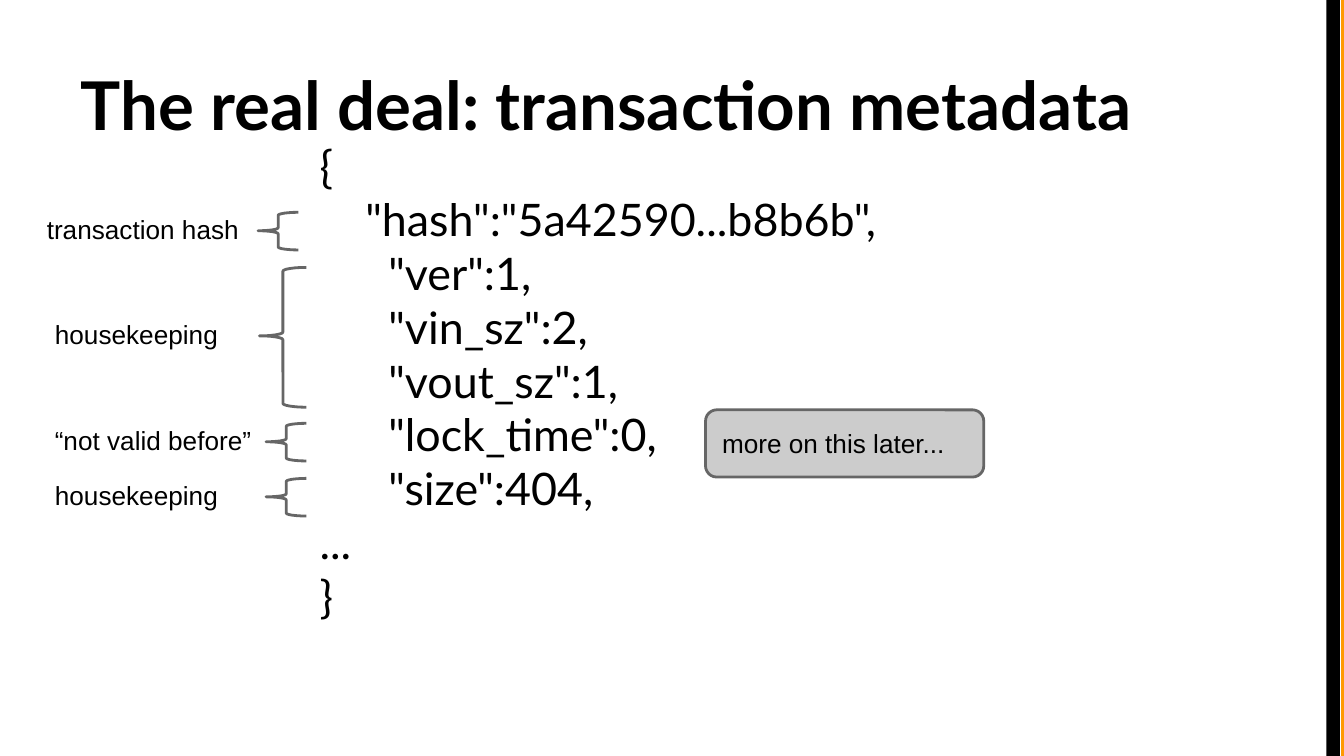
from dataclasses import dataclass

from pptx import Presentation
from pptx.dml.color import RGBColor
from pptx.enum.shapes import MSO_SHAPE
from pptx.enum.text import MSO_ANCHOR, MSO_AUTO_SIZE, PP_ALIGN
from pptx.util import Inches, Pt


@dataclass(frozen=True)
class Theme:
    ink: RGBColor = RGBColor(0x00, 0x00, 0x00)
    accent: RGBColor = RGBColor(0xFF, 0x99, 0x00)
    outline: RGBColor = RGBColor(0x66, 0x66, 0x66)
    callout: RGBColor = RGBColor(0xCC, 0xCC, 0xCC)
    heading_font: str = "Lato"
    label_font: str = "Arial"
    title_size: Pt = Pt(36)
    code_size: Pt = Pt(24)
    label_size: Pt = Pt(14)
    stroke: Pt = Pt(1.5)


theme = Theme()


def write(shape, text, font_name, size, anchor=MSO_ANCHOR.TOP, bold=False):
    frame = shape.text_frame
    frame.text = text
    frame.word_wrap = True
    frame.auto_size = MSO_AUTO_SIZE.NONE
    frame.vertical_anchor = anchor
    frame.margin_left = frame.margin_right = Inches(0.1)
    frame.margin_top = frame.margin_bottom = Inches(0.1)
    for paragraph in frame.paragraphs:
        paragraph.alignment = PP_ALIGN.LEFT
        for run in paragraph.runs:
            run.font.name = font_name
            run.font.size = size
            run.font.bold = bold
            run.font.color.rgb = theme.ink


def draw(preset, left, top, width, height, fill=None, line=None):
    shape = slide.shapes.add_shape(
        preset, Inches(left), Inches(top), Inches(width), Inches(height)
    )
    shape.shadow.inherit = False
    if fill is None:
        shape.fill.background()
    else:
        shape.fill.solid()
        shape.fill.fore_color.rgb = fill
    if line is None:
        shape.line.fill.background()
    else:
        shape.line.color.rgb = line
        shape.line.width = theme.stroke
    return shape


presentation = Presentation()
presentation.slide_width = Inches(10)
presentation.slide_height = presentation.slide_width * 9 // 16
slide = presentation.slides.add_slide(presentation.slide_layouts[5])

for left, color in ((9.98, theme.accent), (9.87, theme.ink)):
    draw(MSO_SHAPE.RECTANGLE, left, 0, 0.1, presentation.slide_height.inches, fill=color)

title = slide.shapes.title
title.left, title.top = Inches(0.5), Inches(0.23)
title.width, title.height = Inches(9), Inches(0.94)
write(title, "The real deal: transaction metadata", theme.heading_font,
      theme.title_size, MSO_ANCHOR.BOTTOM, bold=True)

code_lines = [
    '{',
    '    "hash":"5a42590...b8b6b",',
    '      "ver":1,',
    '      "vin_sz":2,',
    '      "vout_sz":1,',
    '      "lock_time":0,',
    '      "size":404,',
]
metadata = slide.shapes.add_textbox(Inches(2.28), Inches(0.93), Inches(9), Inches(4.53))
write(metadata, "\n".join(["\v".join(code_lines), "...", "}"]),
      theme.heading_font, theme.code_size)

annotations = [
    ("transaction hash", 0.25, 1.49, 1.73, (1.92, 1.58, 0.3, 0.28)),
    ("housekeeping", 0.31, 2.27, 1.62, (1.93, 1.99, 0.35, 1.04)),
    ("“not valid before”", 0.31, 3.06, 1.73, (1.98, 3.15, 0.3, 0.28)),
    ("housekeeping", 0.31, 3.47, 1.62, (1.98, 3.56, 0.3, 0.28)),
]
for text, left, top, width, brace_box in annotations:
    label = slide.shapes.add_textbox(Inches(left), Inches(top), Inches(width), Inches(0.46))
    write(label, text, theme.label_font, theme.label_size)
    brace = draw(MSO_SHAPE.LEFT_BRACE, *brace_box, line=theme.outline)
    brace.adjustments[0] = 0.08
    brace.adjustments[1] = 0.49

later = draw(MSO_SHAPE.ROUNDED_RECTANGLE, 5.25, 3.05, 2.07, 0.5,
             fill=theme.callout, line=theme.outline)
write(later, "more on this later...", theme.label_font, theme.label_size, MSO_ANCHOR.MIDDLE)

presentation.save("out.pptx")
